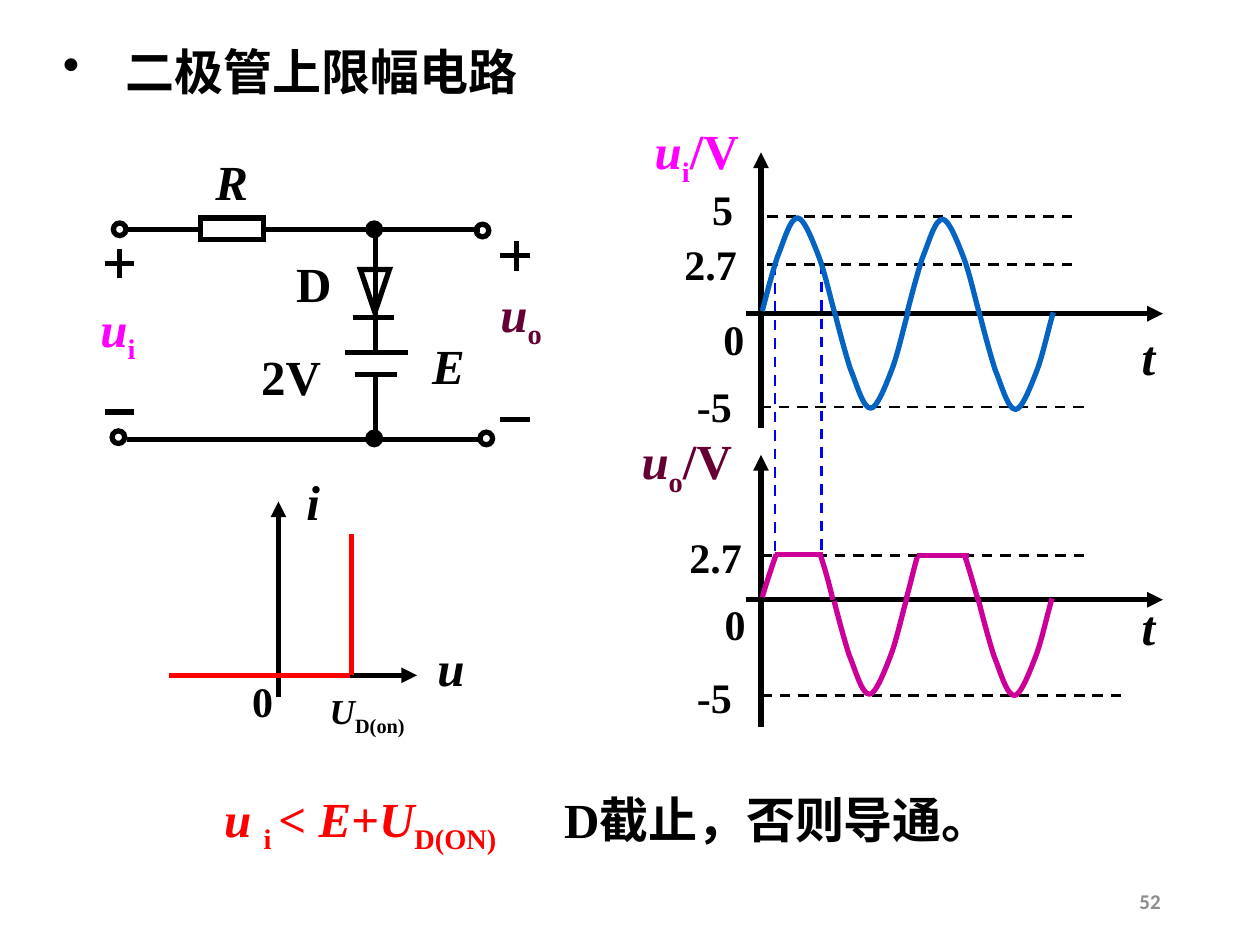
from lxml import etree
from pptx import Presentation
from pptx.dml.color import RGBColor
from pptx.enum.dml import MSO_LINE
from pptx.enum.shapes import MSO_CONNECTOR, MSO_SHAPE
from pptx.enum.text import MSO_ANCHOR, MSO_AUTO_SIZE, PP_ALIGN
from pptx.oxml.ns import qn
from pptx.util import Inches, Pt

BLACK = RGBColor(0x00, 0x00, 0x00)
RED = RGBColor(0xFF, 0x00, 0x00)
BLUE = RGBColor(0x00, 0x00, 0xFF)
WAVE_BLUE = RGBColor(0x05, 0x63, 0xC1)
CLIP_PURPLE = RGBColor(0xCC, 0x00, 0x99)
INPUT_PINK = RGBColor(0xFF, 0x00, 0xFF)
OUTPUT_MAROON = RGBColor(0x66, 0x00, 0x33)
GREY = RGBColor(0x8C, 0x8C, 0x8C)
STRAIGHT = MSO_CONNECTOR.STRAIGHT
DASH = MSO_LINE.DASH
RECTANGLE, ELLIPSE = MSO_SHAPE.RECTANGLE, MSO_SHAPE.OVAL
TRIANGLE = MSO_SHAPE.ISOSCELES_TRIANGLE
LEFT, CENTER, RIGHT = PP_ALIGN.LEFT, PP_ALIGN.CENTER, PP_ALIGN.RIGHT
TOP, MIDDLE = MSO_ANCHOR.TOP, MSO_ANCHOR.MIDDLE

deck = Presentation()
deck.slide_width, deck.slide_height = Inches(10), Inches(7.5)
slide = deck.slides.add_slide(deck.slide_layouts[6])
shapes = slide.shapes
CELL = deck.slide_width / 100  # grid of 100 columns by 75 rows


def grid(*cells):
    return [round(cell * CELL) for cell in cells]


def draw_curve(points, colour):
    """Draw an open Bezier outline: a start, then three grid points per piece."""
    start, *rest = [tuple(grid(*point)) for point in points]
    builder = shapes.build_freeform(*start)
    builder.add_line_segments(rest, close=False)
    curve = builder.convert_to_shape()
    segments = list(curve._element.iter(qn("a:lnTo")))
    for first in range(0, len(segments), 3):
        bezier = etree.Element(qn("a:cubicBezTo"))
        segments[first].addprevious(bezier)
        for segment in segments[first:first + 3]:
            bezier.append(segment[0])
            segment.getparent().remove(segment)
    curve.shadow.inherit = False
    curve.fill.background()
    curve.line.color.rgb = colour
    curve.line.width = Pt(3)


# Lines: from column, from row, to column, to row
guides = [(85.1, 17.2, 60.4, 17.2), (85.1, 21, 60.4, 21), (86, 32.3, 60.1, 32.3),
          (60.4, 44.1, 86.4, 44.1), (89, 55.2, 60.5, 55.2)]
clip_guides = [(61.5, 21, 61.5, 43.9), (65.2, 20.9, 65.2, 44)]
axes = [(59.2, 24.9, 92.3, 24.9), (60.4, 34, 60.4, 12.1),
        (59.2, 47.6, 92.3, 47.6), (60.4, 57.7, 60.4, 36.1),
        (15.7, 53.6, 33.1, 53.6), (22.1, 55.3, 22.1, 39.8)]
wires = [(10.1, 18.2, 15.9, 18.2), (20.9, 18.2, 38.1, 18.2), (10.1, 34.9, 38.1, 34.9),
         (29.8, 18.2, 29.8, 27.9), (29.8, 29.9, 29.8, 34.9)]
diode_and_battery = [(28, 25.2, 31.3, 25.2), (27.4, 28, 32.4, 28), (28.2, 29.7, 31.5, 29.7)]
polarity_signs = [(8.3, 20.9, 10.6, 20.9), (9.5, 19.8, 9.5, 22.1), (8.3, 32.7, 10.6, 32.7),
                  (39.7, 20.3, 42.1, 20.3), (41, 19.1, 41, 21.5), (39.7, 33.3, 42.1, 33.3)]
diode_characteristic = [(13.4, 53.6, 27.8, 53.6), (27.9, 53.6, 27.9, 42.4)]
clipped_tops = [(61.5, 44, 65.3, 44), (72.8, 44.1, 76.9, 44.1)]

for lines, colour, weight, dashed, arrow in [
    (guides, BLACK, 1.5, True, False),
    (clip_guides, BLUE, 1.5, True, False),
    (axes, BLACK, 3, False, True),
    (wires + diode_and_battery + polarity_signs, BLACK, 3, False, False),
    (diode_characteristic, RED, 3, False, False),
    (clipped_tops, CLIP_PURPLE, 3, False, False),
]:
    for ends in lines:
        connector = shapes.add_connector(STRAIGHT, *grid(*ends))
        connector.line.color.rgb = colour
        connector.line.width = Pt(weight)
        if dashed:
            connector.line.dash_style = DASH
        if arrow:
            etree.SubElement(connector.line._get_or_add_ln(), qn("a:tailEnd"), type="triangle")
        etree.SubElement(connector._element.spPr, qn("a:effectLst"))

# Resistor, diode, terminals and nodes
for kind, box, turn, filled in [
    (RECTANGLE, (15.9, 17.3, 5, 1.7), 0, False),
    (TRIANGLE, (28.6, 21.4, 2.3, 3.4), 180, False),
    (ELLIPSE, (9, 17.7, 1, 1), 0, False),
    (ELLIPSE, (37.8, 17.8, 1, 1), 0, False),
    (ELLIPSE, (8.9, 34.2, 1, 1), 0, False),
    (ELLIPSE, (38.1, 34.3, 1, 1), 0, False),
    (ELLIPSE, (29.2, 17.7, 1, 1), 0, True),
    (ELLIPSE, (29.2, 34.3, 1, 1), 0, True),
]:
    part = shapes.add_shape(kind, *grid(*box))
    part.shadow.inherit = False
    part.rotation = turn
    part.line.color.rgb = BLACK
    part.line.width = Pt(3)
    etree.SubElement(part.line._get_or_add_ln(), qn("a:miter"), lim="800000")
    if filled:
        part.fill.solid()
        part.fill.fore_color.rgb = BLACK
    else:
        part.fill.background()

# Half wave as four Bezier pieces, relative to its start
HALF_WAVE = [(0, 0), (0.2, 0.8), (0.8, 3.1), (1.2, 4.3), (1.7, 5.5), (2.2, 7.4), (2.8, 7.4),
             (3.3, 7.4), (4, 5.6), (4.5, 4.3), (5, 3), (5.5, 0.6), (5.8, -0.3)]

for column, row, direction, colour in [
    (60.5, 24.7, -1, WAVE_BLUE), (66.3, 25, 1, WAVE_BLUE),
    (72, 24.8, -1, WAVE_BLUE), (77.8, 25.1, 1, WAVE_BLUE),
    (66.2, 47.7, 1, CLIP_PURPLE), (77.7, 47.8, 1, CLIP_PURPLE),
]:
    draw_curve([(column + x, row + direction * y) for x, y in HALF_WAVE], colour)

for clipped_edge in [
    [(60.5, 47.4), (60.9, 46), (61.4, 44.6), (61.6, 44)],
    [(65.1, 44), (65.6, 45.5), (66, 47.1), (66.1, 47.6)],
    [(71.9, 47.6), (72.3, 46.2), (72.6, 44.8), (72.8, 44.2)],
    [(76.6, 44.2), (77.1, 45.7), (77.5, 47.3), (77.7, 47.8)],
]:
    draw_curve(clipped_edge, CLIP_PURPLE)

# Labels: left, top, width, size, colour, alignment, anchor, runs as (words, style);
# style letters: b bold, i italic, s subscript
ROW_HEIGHT = {28: 5.7, 24: 5, 20: 4.3, 12: 3}
labels = [
    (4, 2.8, 44.7, 28, BLACK, LEFT, TOP, [("二极管上限幅电路", "b")]),
    (16.8, 62.1, 29.9, 28, RED, LEFT, TOP,
     [("u ", "bi"), ("i ", "bs"), ("< ", "b"), ("E", "bi"), ("+", "b"), ("U", "bi"), ("D(ON)", "bs")]),
    (43.5, 62.2, 36.4, 28, BLACK, CENTER, TOP, [("D截止，否则导通。", "b")]),
    (70.6, 70, 22.5, 12, GREY, RIGHT, MIDDLE, [("52", "b")]),
    (49.1, 9.4, 12.4, 28, INPUT_PINK, CENTER, MIDDLE, [("u", "bi"), ("i", "bs"), ("/V", "b")]),
    (49.3, 34, 10.4, 28, OUTPUT_MAROON, CENTER, MIDDLE, [("u", "bi"), ("o", "bs"), ("/V", "b")]),
    (6.9, 23.5, 4.9, 28, INPUT_PINK, CENTER, MIDDLE, [("u", "bi"), ("i", "bs")]),
    (38.6, 22.3, 5.5, 28, OUTPUT_MAROON, CENTER, MIDDLE, [("u", "bi"), ("o", "bs")]),
    (24.9, 54.5, 8.5, 20, BLACK, CENTER, MIDDLE, [("U", "bi"), ("D(on)", "bs")]),
]
for left, top, width, size, words, style in [
    (89.6, 25.4, 3.1, 28, "t", "bi"), (89.6, 46.8, 3.1, 28, "t", "bi"),
    (56.4, 24.4, 3.7, 24, "0", "b"), (56.5, 47, 3.7, 24, "0", "b"), (19, 53.1, 3.7, 24, "0", "b"),
    (55.5, 14.1, 3.7, 24, "5", "b"), (53.3, 18.4, 6.2, 24, "2.7", "b"),
    (53.7, 41.7, 6.2, 24, "2.7", "b"),
    (54.3, 29.7, 4.8, 24, "-5", "b"), (54.3, 52.8, 4.8, 24, "-5", "b"),
    (33.3, 26.1, 4.6, 28, "E", "bi"), (19.7, 27, 6.8, 28, "2V", "b"),
    (22.5, 19.6, 4.8, 28, "D", "b"), (16.1, 11.5, 4.6, 28, "R", "bi"),
    (23.3, 36.9, 3.1, 28, "i", "bi"), (33.7, 50.1, 4.2, 28, "u", "bi"),
]:
    labels.append((left, top, width, size, BLACK, CENTER, MIDDLE, [(words, style)]))

paragraphs = []
for left, top, width, size, colour, alignment, anchor, runs in labels:
    frame = shapes.add_textbox(*grid(left, top, width, ROW_HEIGHT[size])).text_frame
    frame.word_wrap = alignment != CENTER
    frame.auto_size = MSO_AUTO_SIZE.SHAPE_TO_FIT_TEXT
    frame.vertical_anchor = anchor
    paragraph = frame.paragraphs[0]
    paragraph.alignment = alignment
    paragraphs.append(paragraph)
    for words, style in runs:
        run = paragraph.add_run()
        run.text = words
        run.font.name = "Calibri" if size == 12 else "Times New Roman"
        run.font.size = Pt(size)
        run.font.color.rgb = colour
        run.font.bold = "b" in style
        run.font.italic = "i" in style
        if "s" in style:
            run._r.get_or_add_rPr().set("baseline", "-25000")

title_properties = paragraphs[0]._p.get_or_add_pPr()
title_properties.set("marL", str(Inches(0.5)))
title_properties.set("indent", str(-Inches(0.5)))
etree.SubElement(title_properties, qn("a:buFontTx"))
etree.SubElement(title_properties, qn("a:buChar"), char="•")

deck.save("out.pptx")
